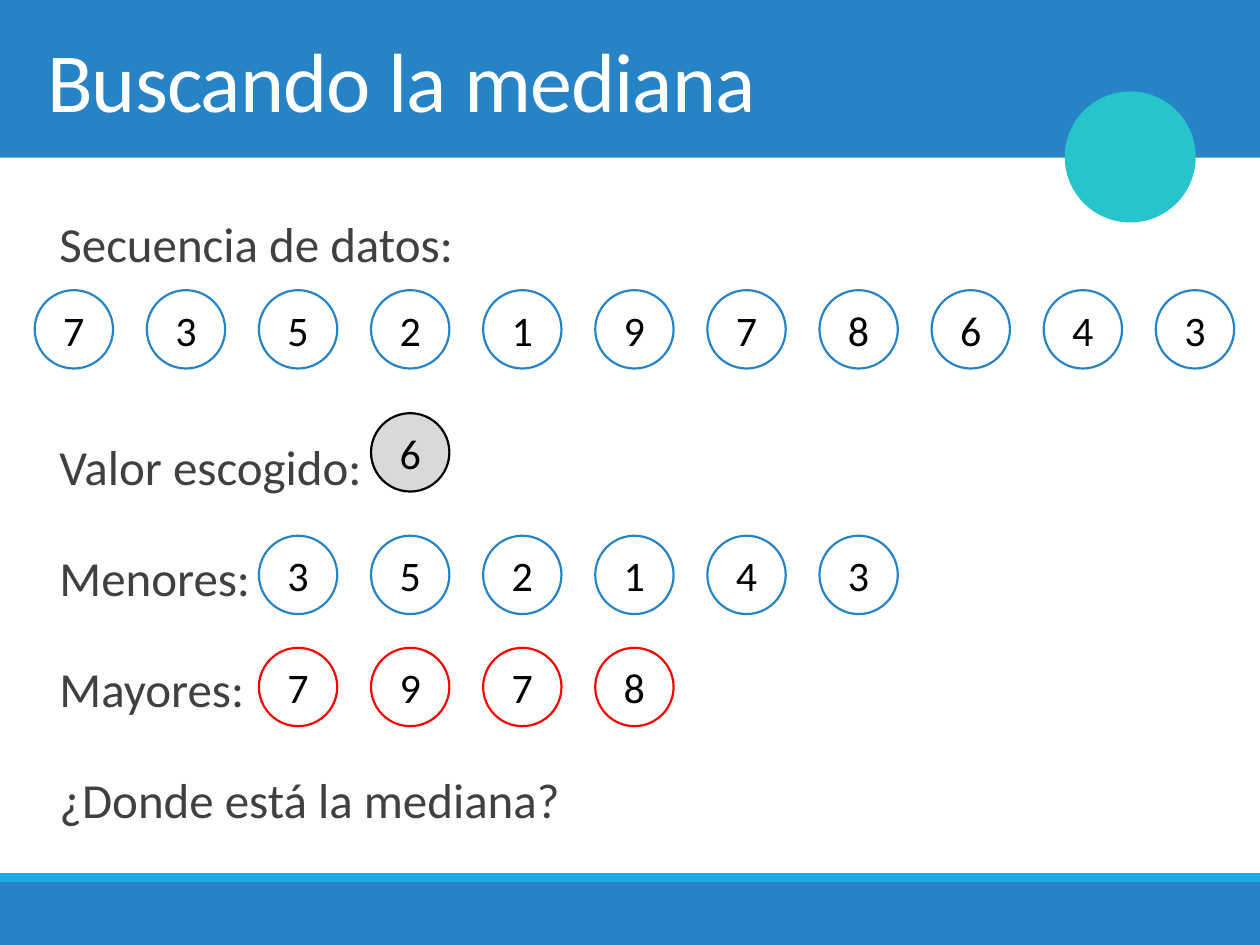
from pptx import Presentation
from pptx.dml.color import RGBColor
from pptx.enum.shapes import MSO_SHAPE
from pptx.enum.text import MSO_ANCHOR, PP_ALIGN
from pptx.util import Cm, Pt

BLUE, SKY, TEAL = "2683C6", "1CADE4", "28C4CC"
WHITE, BLACK, GREY, RED, INK = "FFFFFF", "000000", "D9D9D9", "FF0000", "404040"
FIRST_LEFT, PITCH, DIAMETER = 0.7, 2.26, 1.58


def rgb(hex_code):
    """Turn a hex string into a colour."""
    return RGBColor.from_string(hex_code)


class Board:
    """Style of the deck and the slide being drawn."""

    font = "Calibri"

    def __init__(self, slide):
        """Keep the slide that receives the elements."""
        self.shapes = slide.shapes

    def add_text(self, paragraph, text, size, color):
        """Add one styled run and return it."""
        run = paragraph.add_run()
        run.text = text
        run.font.name = self.font
        run.font.size = Pt(size)
        run.font.color.rgb = rgb(color)
        return run

    def shape(self, kind, left, top, width, height, fill, line=None, weight=1.25):
        """Add a flat preset shape, outlined if a line colour is given."""
        item = self.shapes.add_shape(kind, Cm(left), Cm(top), Cm(width), Cm(height))
        item.shadow.inherit = False
        item.fill.solid()
        item.fill.fore_color.rgb = rgb(fill)
        if line:
            item.line.color.rgb = rgb(line)
            item.line.width = Pt(weight)
        else:
            item.line.fill.background()
        return item

    def band(self, top, height, fill):
        """Add a bar across the whole slide."""
        self.shape(MSO_SHAPE.RECTANGLE, 0, top, 25.4, height, fill)

    def text_frame(self, top, height, anchor, margin=0.25):
        """Add a wrapping text box and return its frame."""
        frame = self.shapes.add_textbox(Cm(0.7), Cm(top), Cm(24), Cm(height)).text_frame
        frame.word_wrap = True
        frame.vertical_anchor = anchor
        frame.margin_left = Cm(margin)
        return frame

    def title(self, text):
        """Add the heading, slightly condensed."""
        frame = self.text_frame(0, 3.18, MSO_ANCHOR.MIDDLE)
        run = self.add_text(frame.paragraphs[0], text, 48, WHITE)
        run.font._element.set("spc", "-50")

    def labels(self, lines):
        """Add the row labels from (text, space before) pairs."""
        frame = self.text_frame(3.58, 13.6, MSO_ANCHOR.TOP, 0.5)
        for index, (text, before) in enumerate(lines):
            paragraph = frame.add_paragraph() if index else frame.paragraphs[0]
            paragraph.line_spacing = 1.5
            paragraph.space_before = Pt(before)
            paragraph.space_after = Pt(2)
            self.add_text(paragraph, text, 28, INK)

    def numbers(self, values, column, top, line, fill=WHITE):
        """Add a row of numbered circles starting at a grid column."""
        for index, value in enumerate(values, column):
            circle = self.shape(MSO_SHAPE.OVAL, FIRST_LEFT + index * PITCH, top,
                                DIAMETER, DIAMETER, fill, line)
            frame = circle.text_frame
            frame.vertical_anchor = MSO_ANCHOR.MIDDLE
            frame.paragraphs[0].alignment = PP_ALIGN.CENTER
            self.add_text(frame.paragraphs[0], str(value), 24, BLACK)


deck = Presentation()
deck.slide_width, deck.slide_height = Cm(25.4), Cm(19.05)
board = Board(deck.slides.add_slide(deck.slide_layouts[6]))

board.band(0, 3.18, BLUE)
board.band(17.78, 1.27, BLUE)
board.band(17.6, 0.18, SKY)
board.shape(MSO_SHAPE.OVAL, 21.5, 1.88, 2.57, 2.57, TEAL, TEAL, 2)

GAP, ROW_GAP = 11, 75.3
board.labels([
    ("Secuencia de datos:", GAP),
    ("Valor escogido:", ROW_GAP),
    ("Menores:", GAP),
    ("Mayores: ", GAP),
    ("¿Donde está la mediana?", GAP),
])
board.title("Buscando la mediana")

sequence = [7, 3, 5, 2, 1, 9, 7, 8, 6, 4, 3]
chosen = 6
board.numbers(sequence, 0, 5.85, BLUE)
board.numbers([chosen], 3, 8.33, BLACK, GREY)
board.numbers([n for n in sequence if n < chosen], 2, 10.8, BLUE)
board.numbers([n for n in sequence if n > chosen], 2, 13.06, RED)

deck.save("out.pptx")
